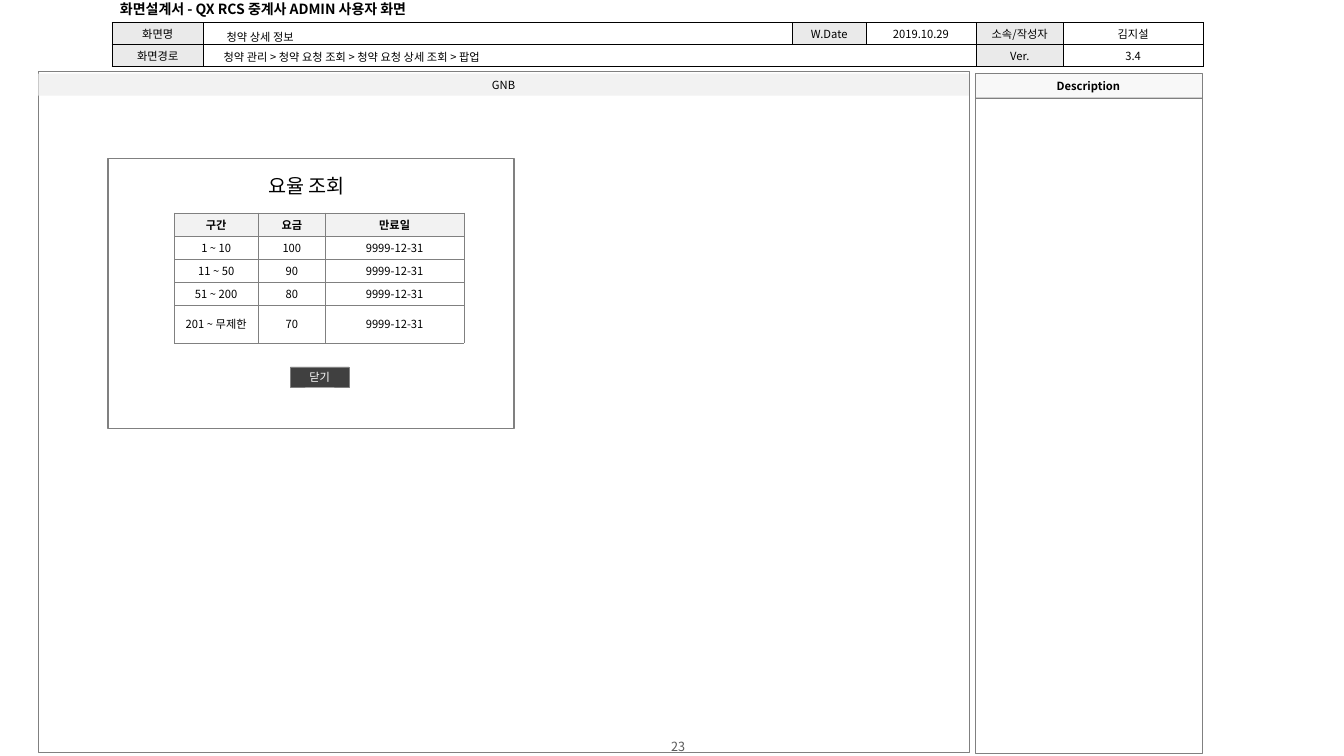
from lxml import etree
from pptx import Presentation
from pptx.dml.color import RGBColor
from pptx.enum.shapes import MSO_SHAPE
from pptx.enum.text import MSO_ANCHOR, PP_ALIGN
from pptx.oxml.ns import qn
from pptx.util import Inches, Pt

RECTANGLE = MSO_SHAPE.RECTANGLE
TOP, MIDDLE = MSO_ANCHOR.TOP, MSO_ANCHOR.MIDDLE
LEFT, CENTER = PP_ALIGN.LEFT, PP_ALIGN.CENTER
FONT = "Noto Sans CJK KR"
COLORS = {
    "black": "000000",
    "white": "FFFFFF",
    "outline": "808080",
    "label": "EAEAEA",
    "header": "F2F2F2",
    "panel": "F8F8F8",
    "button": "404040",
    "page": "595959",
}


class Screen:
    def __init__(self, slide):
        self.slide = slide

    def color(self, name):
        return RGBColor.from_string(COLORS[name])

    def paint(self, fill, name):
        if name:
            fill.solid()
            fill.fore_color.rgb = self.color(name)
        else:
            fill.background()

    def set_text(self, frame, text, size=8, color="black", bold=False, align=CENTER):
        paragraph = frame.paragraphs[0]
        paragraph.alignment = align
        if text:
            paragraph.text = text
        else:
            etree.SubElement(paragraph._p, qn("a:endParaRPr"), sz=str(size * 100))
        font = paragraph.font
        font.name, font.size, font.bold = FONT, Pt(size), bold
        font.color.rgb = self.color(color)
        defaults = paragraph._p.pPr.find(qn("a:defRPr"))
        etree.SubElement(defaults, qn("a:ea"), typeface=FONT)

    def title(self, box, text, size):
        heading = self.slide.shapes.title
        heading.left, heading.top, heading.width, heading.height = map(Inches, box)
        frame = heading.text_frame
        frame.vertical_anchor = MIDDLE
        frame.margin_left = frame.margin_right = Inches(0.09)
        frame.margin_top = frame.margin_bottom = Inches(0.04)
        self.set_text(frame, text, size, bold=True, align=LEFT)

    def label(self, box, text, anchor=TOP, wrap=True, **style):
        frame = self.slide.shapes.add_textbox(*map(Inches, box)).text_frame
        frame.word_wrap = wrap
        frame.vertical_anchor = anchor
        self.set_text(frame, text, **style)

    def box(self, box, text="", fill=None, line="outline", width=0.25, **style):
        shape = self.slide.shapes.add_shape(RECTANGLE, *map(Inches, box))
        shape.shadow.inherit = False
        self.paint(shape.fill, fill)
        self.paint(shape.line.fill, line)
        if line:
            shape.line.width = Pt(width)
        if text:
            frame = shape.text_frame
            frame.vertical_anchor = MIDDLE
            frame.margin_top = frame.margin_bottom = 0
            self.set_text(frame, text, **style)

    def border(self, cell, color):
        properties = cell._tc.get_or_add_tcPr()
        for side in "LRTB":
            line = etree.SubElement(properties, qn(f"a:ln{side}"), w=str(Pt(0.25)))
            fill = etree.SubElement(line, qn("a:solidFill"))
            etree.SubElement(fill, qn("a:srgbClr"), val=COLORS[color])

    def table(self, left, top, widths, heights, rows, border, fill_of, bold_rows=()):
        table = self.slide.shapes.add_table(
            len(rows), len(widths), Inches(left), Inches(top),
            Inches(sum(widths)), Inches(sum(heights))).table
        table.first_row = table.horz_banding = False
        for column, width in zip(table.columns, widths):
            column.width = Inches(width)
        for r, (values, height) in enumerate(zip(rows, heights)):
            table.rows[r].height = Inches(height)
            for c, text in enumerate(values):
                cell = table.cell(r, c)
                self.border(cell, border)
                self.paint(cell.fill, fill_of(r, c))
                cell.vertical_anchor = MIDDLE
                cell.margin_top = cell.margin_bottom = Inches(0.02)
                self.set_text(cell.text_frame, text, bold=r in bold_rows)
        return table


def main():
    prs = Presentation()
    prs.slide_width, prs.slide_height = Inches(13.33), Inches(7.5)
    screen = Screen(prs.slides.add_slide(prs.slide_layouts[5]))

    screen.title((1.1, -0.04, 3.47, 0.26), "화면설계서 - QX RCS 중계사 ADMIN 사용자 화면", 10)
    screen.box((0.38, 0.71, 9.23, 6.75))
    screen.label((5.17, 7.34, 3.11, 0.13), "23", anchor=MIDDLE, size=9, color="page")

    document_info = screen.table(
        1.11, 0.22, [0.91, 5.84, 0.73, 1.09, 0.87, 1.38], [0.22] * 2,
        [["화면명", "", "W.Date", "2019.10.29", "소속/작성자", "김지설"],
         ["화면경로", "", "", "", "Ver.", "3.4"]],
        "black", lambda r, c: "white" if c % 2 or (r, c) == (1, 2) else "label")
    document_info.cell(1, 1).merge(document_info.cell(1, 3))

    screen.box((9.67, 0.96, 2.25, 6.51))
    screen.box((9.67, 0.73, 2.25, 0.24), "Description", fill="panel", bold=True)
    screen.box((0.38, 0.73, 9.23, 0.22), "GNB", fill="header", line=None)
    screen.label((2.15, 0.25, 2.08, 0.24), "청약 상세 정보", align=LEFT)
    screen.label((2.12, 0.45, 4.8, 0.24),
                 "청약 관리 > 청약 요청 조회 > 청약 요청 상세 조회 > 팝업", align=LEFT)

    screen.box((1.07, 1.57, 4.03, 2.68), width=1)
    screen.label((2.51, 1.68, 1.06, 0.34), "요율 조회", wrap=False, size=14)
    screen.box((2.88, 3.64, 0.58, 0.2), "닫기", fill="button", color="white")

    rates = [("1 ~ 10", "100"), ("11 ~ 50", "90"), ("51 ~ 200", "80"), ("201 ~ 무제한", "70")]
    screen.table(
        1.73, 2.11, [0.83, 0.67, 1.37], [0.23] * 4 + [0.37],
        [("구간", "요금", "만료일")] + [(*rate, "9999-12-31") for rate in rates],
        "outline", lambda r, c: None if r else "header", bold_rows=(0,))

    prs.save("out.pptx")


if __name__ == "__main__":
    main()
